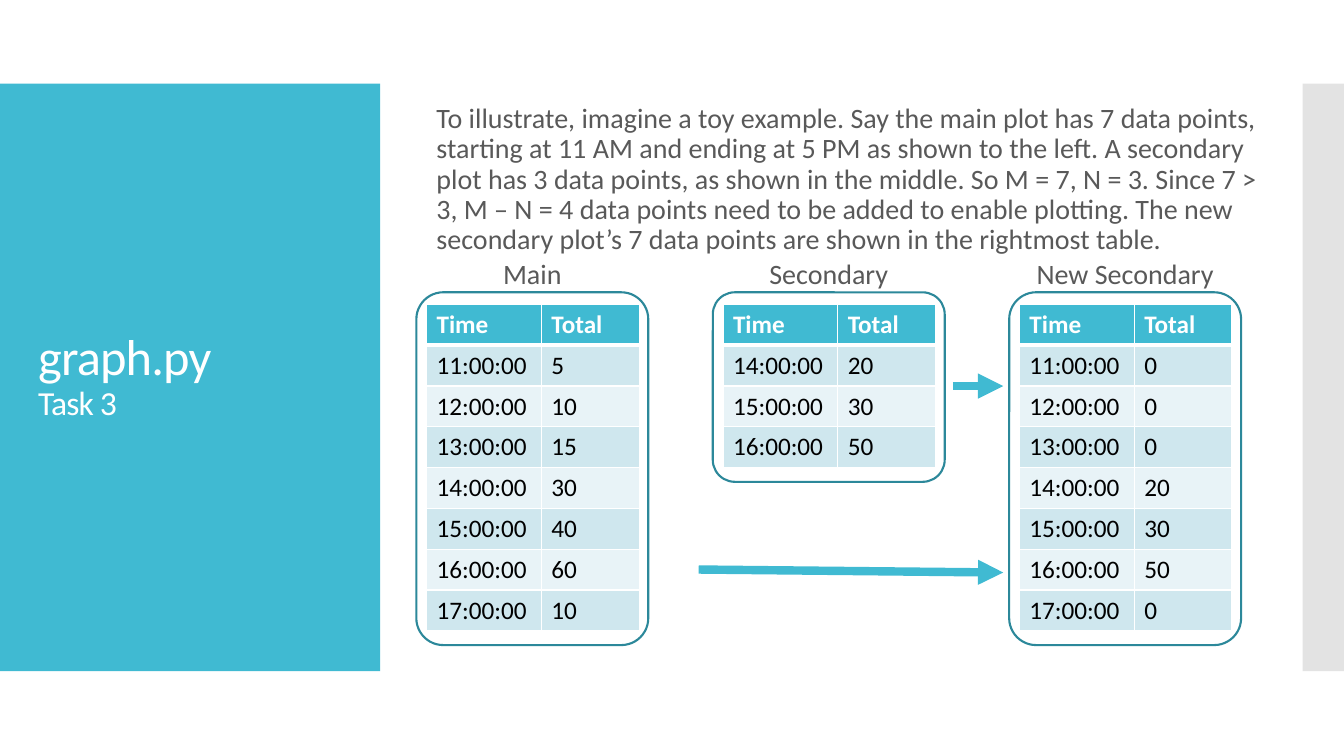
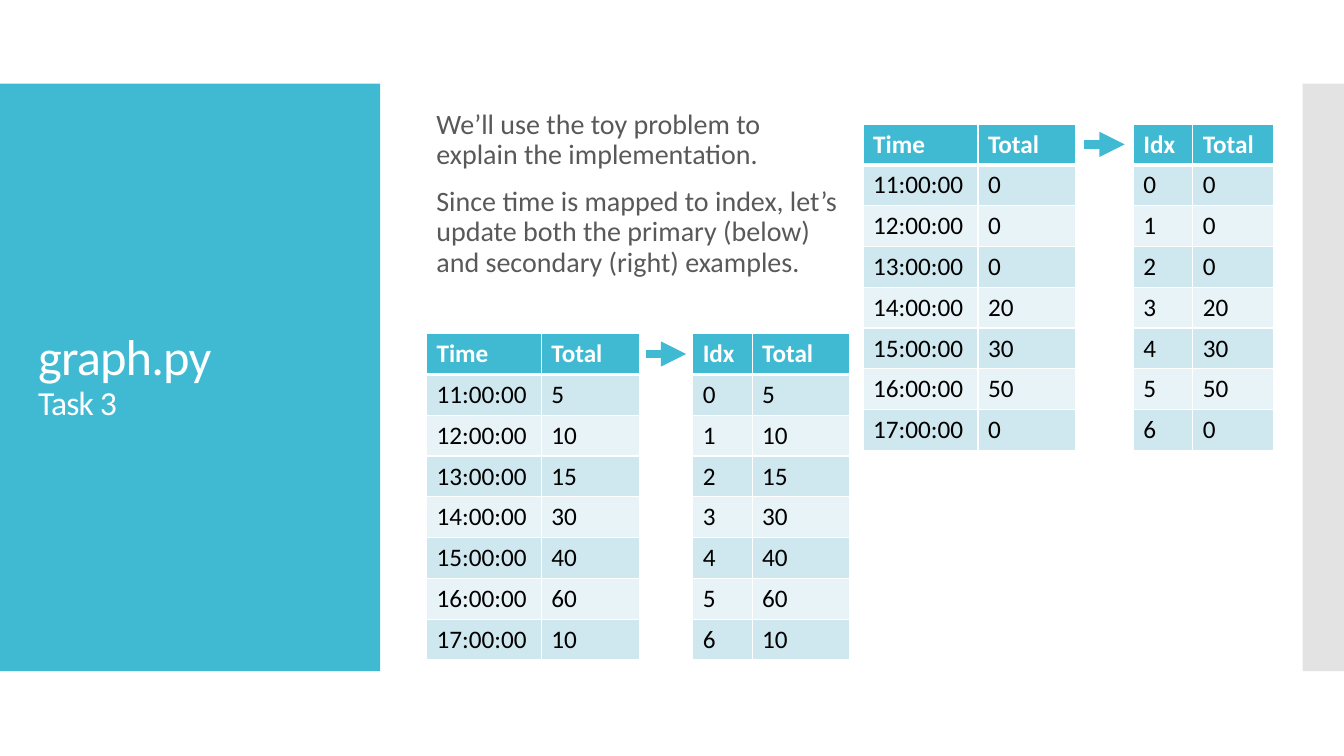
from lxml import etree
from pptx import Presentation
from pptx.dml.color import RGBColor
from pptx.enum.shapes import MSO_CONNECTOR, MSO_SHAPE
from pptx.enum.text import MSO_ANCHOR, PP_ALIGN
from pptx.oxml.ns import qn
from pptx.util import Inches, Pt

RECTANGLE, ROUNDED = MSO_SHAPE.RECTANGLE, MSO_SHAPE.ROUNDED_RECTANGLE
STRAIGHT = MSO_CONNECTOR.STRAIGHT
TOP, MIDDLE = MSO_ANCHOR.TOP, MSO_ANCHOR.MIDDLE
LEFT, CENTER = PP_ALIGN.LEFT, PP_ALIGN.CENTER

FONT = "Calibri"
COLORS = {
    "accent": "40BAD2",
    "outline": "2C889A",
    "side": "C8C8C8",
    "body": "595959",
    "cell": "000000",
    "odd_row": "CFE7EE",
    "even_row": "E8F3F7",
    "white": "FFFFFF",
}

# Shared measures in inches
BAND_TOP, BAND_HEIGHT = 0.83, 5.83
CONTENT_LEFT = 4.23
ROW_HEIGHT = 3.24 / 8
TIME_WIDTHS = (1.14, 0.97)
CARD_WIDTH, CARD_STEP, CARD_TOP = 2.3, 2.94, 2.9
CARD_PADDING = (0.1, 0.12)
ARROW_LENGTH = 0.4

# Table data
HOURS = [f"{hour}:00:00" for hour in range(11, 18)]
MAIN_TOTALS = [5, 10, 15, 30, 40, 60, 10]
SECONDARY_TOTALS = [20, 30, 50]
NEW_TOTALS = [0, 0, 0, *SECONDARY_TOTALS, 0]


def color(name):
    return RGBColor.from_string(COLORS[name])


def inches(values):
    return [Inches(value) for value in values]


def format_run(run, size, color_name, bold=False, spacing=None):
    run.font.name = FONT
    run.font.size = Pt(size)
    run.font.bold = bold
    run.font.color.rgb = color(color_name)
    if spacing is not None:
        run.font._element.set("spc", str(int(spacing * 100)))


def add_text(slide, box, paragraphs, color_name="body", anchor=TOP, align=LEFT,
             line_spacing=None, space_before=None, spacing=None):
    """Each paragraph is a list of (text, size) lines."""
    frame = slide.shapes.add_textbox(*inches(box)).text_frame
    frame.word_wrap = True
    frame.vertical_anchor = anchor
    for index, lines in enumerate(paragraphs):
        paragraph = frame.add_paragraph() if index else frame.paragraphs[0]
        paragraph.alignment = align
        paragraph.line_spacing = line_spacing
        if space_before is not None:
            paragraph.space_before = Pt(space_before)
        for line_index, (text, size) in enumerate(lines):
            if line_index:
                paragraph.add_line_break()
            run = paragraph.add_run()
            run.text = text
            format_run(run, size, color_name, spacing=spacing)


def add_body(slide, box, *texts):
    add_text(slide, box, [[(text, 20)] for text in texts], anchor=MIDDLE,
             line_spacing=0.9, space_before=12)


def add_band(slide, left, width, color_name, opacity=None):
    band = slide.shapes.add_shape(
        RECTANGLE, *inches((left, BAND_TOP, width, BAND_HEIGHT)))
    band.shadow.inherit = False
    band.fill.solid()
    band.fill.fore_color.rgb = color(color_name)
    band.line.fill.background()
    if opacity is not None:
        color_element = band.fill._xPr.find(".//" + qn("a:srgbClr"))
        etree.SubElement(color_element, qn("a:alpha"), val=str(opacity * 1000))


def add_card(slide, left, top, height):
    card = slide.shapes.add_shape(
        ROUNDED, *inches((left, top, CARD_WIDTH, height)))
    card.adjustments[0] = 0.116
    card.shadow.inherit = False
    card.fill.background()
    card.line.color.rgb = color("outline")
    card.line.width = Pt(1.5)


def add_arrow(slide, start, end):
    arrow = slide.shapes.add_connector(STRAIGHT, *inches((*start, *end)))
    arrow.line.color.rgb = color("accent")
    arrow.line.width = Pt(6)
    etree.SubElement(arrow.line._get_or_add_ln(), qn("a:tailEnd"), type="triangle")
    etree.SubElement(arrow._element.spPr, qn("a:effectLst"))


def set_borders(cell, top=1, bottom=1):
    properties = cell._tc.get_or_add_tcPr()
    for side, width in (("L", 1), ("R", 1), ("T", top), ("B", bottom)):
        line = etree.SubElement(properties, qn(f"a:ln{side}"), w=str(Pt(width)))
        fill = etree.SubElement(line, qn("a:solidFill"))
        etree.SubElement(fill, qn("a:srgbClr"), val=COLORS["white"])


def add_data_table(slide, left, top, widths, header, keys, totals):
    rows = [(header, "Total"), *zip(keys, totals)]
    box = inches((left, top, sum(widths), ROW_HEIGHT * len(rows)))
    table = slide.shapes.add_table(len(rows), len(widths), *box).table
    for column, width in zip(table.columns, widths):
        column.width = Inches(width)
    for row_index, values in enumerate(rows):
        is_header = row_index == 0
        row_fill = "odd_row" if row_index % 2 else "even_row"
        table.rows[row_index].height = Inches(ROW_HEIGHT)
        for column_index, value in enumerate(values):
            cell = table.cell(row_index, column_index)
            set_borders(cell, top=3 if row_index == 1 else 1,
                        bottom=3 if is_header else 1)
            cell.fill.solid()
            cell.fill.fore_color.rgb = color("accent" if is_header else row_fill)
            run = cell.text_frame.paragraphs[0].add_run()
            run.text = str(value)
            format_run(run, 18, "white" if is_header else "cell", bold=is_header)


def add_labelled_table(slide, position, label, hours, totals):
    left = CONTENT_LEFT - CARD_PADDING[0] + position * CARD_STEP
    height = ROW_HEIGHT * (len(hours) + 1) + 0.26
    add_data_table(slide, left + CARD_PADDING[0], CARD_TOP + CARD_PADDING[1],
                   TIME_WIDTHS, "Time", hours, totals)
    add_card(slide, left, CARD_TOP, height)
    add_text(slide, (left, 2.5, CARD_WIDTH, 0.44), [[(label, 20)]], align=CENTER)


def add_index_mapping(slide, left, top, index_left, index_widths, totals):
    add_data_table(slide, left, top, TIME_WIDTHS, "Time", HOURS, totals)
    add_data_table(slide, index_left, top, index_widths, "Idx",
                   range(len(totals)), totals)
    middle = (left + sum(TIME_WIDTHS) + index_left) / 2
    height = top + ROW_HEIGHT / 2
    add_arrow(slide, (middle - ARROW_LENGTH / 2, height),
              (middle + ARROW_LENGTH / 2, height))


def add_base_slide(presentation):
    slide = presentation.slides.add_slide(presentation.slide_layouts[6])
    add_band(slide, 0, 3.77, "accent")
    add_band(slide, 12.92, 0.42, "side", opacity=50)
    add_text(slide, (0.28, 1.23, 3.22, 5.03),
             [[("graph.py", 36), ("Task 3", 24)]], color_name="white",
             anchor=MIDDLE, line_spacing=0.9, spacing=-0.6)
    return slide


def add_example_slide(presentation):
    slide = add_base_slide(presentation)
    add_body(
        slide, (CONTENT_LEFT, 0.83, 8.48, 1.91),
        "To illustrate, imagine a toy example. Say the main plot has 7 data "
        "points, starting at 11 AM and ending at 5 PM as shown to the left. A "
        "secondary plot has 3 data points, as shown in the middle. So M = 7, "
        "N = 3. Since 7 > 3, M – N = 4 data points need to be added to enable "
        "plotting. The new secondary plot’s 7 data points are shown in the "
        "rightmost table.")
    examples = (
        ("Main", HOURS, MAIN_TOTALS),
        ("Secondary", HOURS[3:6], SECONDARY_TOTALS),
        ("New Secondary", HOURS, NEW_TOTALS),
    )
    for position, example in enumerate(examples):
        add_labelled_table(slide, position, *example)
    add_arrow(slide, (9.45, 3.83), (9.95, 3.83))
    add_arrow(slide, (6.93, 5.65), (9.95, 5.68))


def add_mapping_slide(presentation):
    slide = add_base_slide(presentation)
    add_body(
        slide, (CONTENT_LEFT, 0.94, 4.26, 1.97),
        "We’ll use the toy problem to explain the implementation.",
        "Since time is mapped to index, let’s update both the primary (below) "
        "and secondary (right) examples.")
    add_index_mapping(slide, 8.56, 1.23, 11.24, (0.59, 0.8), NEW_TOTALS)
    add_index_mapping(slide, CONTENT_LEFT, 3.31, 6.87, (0.59, 0.97), MAIN_TOTALS)


def main():
    presentation = Presentation()
    presentation.slide_width = Inches(13.33)
    presentation.slide_height = Inches(7.5)
    add_example_slide(presentation)
    add_mapping_slide(presentation)
    presentation.save("out.pptx")


if __name__ == "__main__":
    main()
